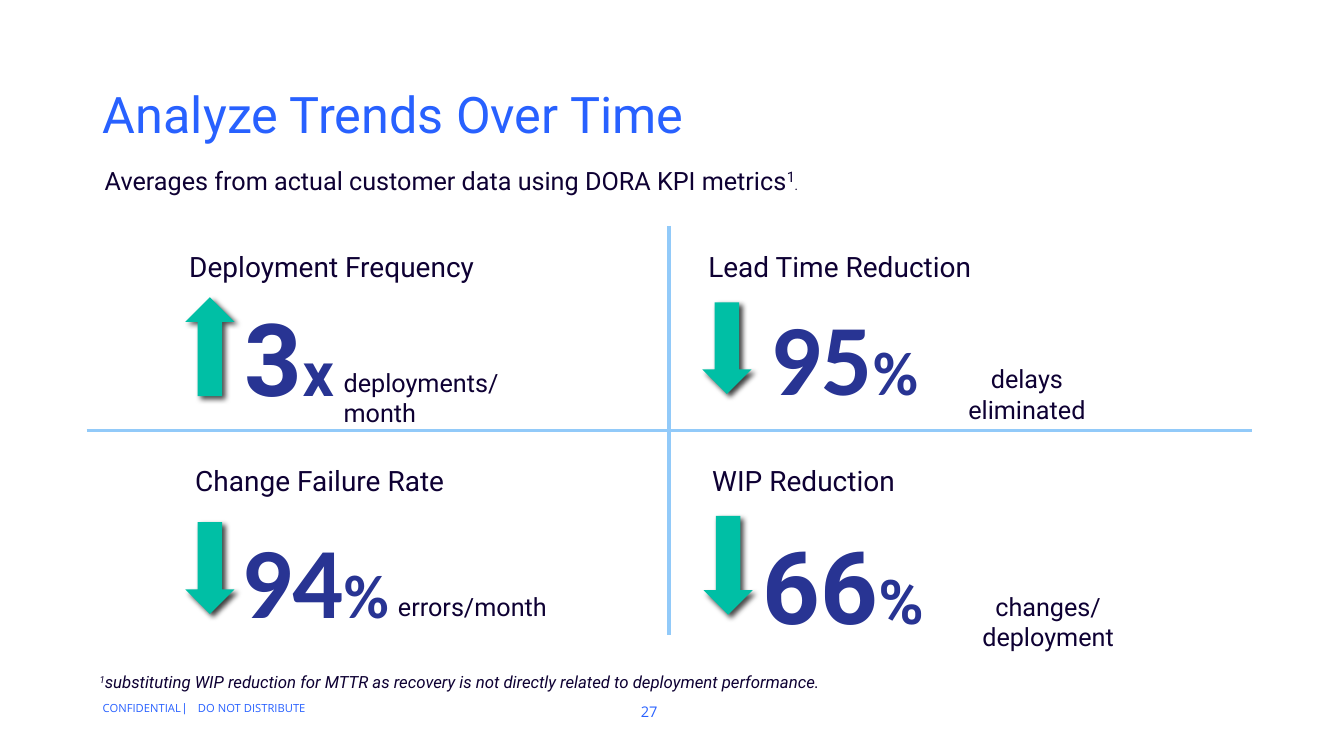
from lxml import etree
from pptx import Presentation
from pptx import util as u
from pptx.dml.color import RGBColor
from pptx.enum import shapes, text
from pptx.oxml import parse_xml
from pptx.oxml.ns import nsdecls, qn

BLUE = "2861FF"
INK = "0E0033"
NAVY = "283493"
GREEN = "00BFA5"
RULE = "92CAF9"
NO_STYLE = "{2D5ABB26-0587-4C30-8999-92F81FD0307C}"

QUADRANTS = [
    {
        "heading": ("Deployment Frequency", (4.52, 6.17, 7.77, 1.12)),
        "arrow": ((4.67, 7.49, 1.24, 2.49), 180, 71),
        "figure": ("3", "x", "Roboto", (5.92, 7.32, 4.06, 3.38), True),
        "caption": ("deployments/month", (8.41, 9.12, 6.22, 1.02), False),
    },
    {
        "heading": ("Lead Time Reduction", (17.6, 6.15, 7.21, 1.12)),
        "arrow": ((17.7, 7.62, 1.24, 2.31), 0, 75),
        "figure": ("95", "%", "Calibri", (19.18, 7.29, 4.27, 3.33), False),
        "caption": ("delays\veliminated", (23.19, 9.04, 5.38, 1.02), True),
    },
    {
        "heading": ("Change Failure Rate", (4.67, 11.56, 6.86, 1.12)),
        "arrow": ((4.67, 13.16, 1.24, 2.31), 0, 75),
        "figure": ("94", "%", "Calibri", (5.84, 12.93, 4.27, 3.33), False),
        "caption": ("errors/month", (9.78, 14.78, 4.27, 1.02), False),
    },
    {
        "heading": ("WIP Reduction", (17.7, 11.56, 5.16, 1.12)),
        "arrow": ((17.73, 13, 1.24, 2.49), 0, 71),
        "figure": ("66", "%", "Roboto", (18.97, 13.06, 4.6, 3.33), False),
        "caption": ("changes/\vdeployment", (23.19, 14.78, 6.45, 1.02), True),
    },
]


def color(value):
    return RGBColor.from_string(value)


def lengths(box):
    return [u.Cm(value) for value in box]


def add_run(paragraph, words, size, fill, font="Roboto", bold=False,
            italic=False, raised=False):
    for index, line in enumerate(words.split("\v")):
        if index:
            paragraph.add_line_break()
        run = paragraph.add_run()
        run.text = line
        run.font.name = font
        run.font.size = u.Pt(size)
        run.font.bold = bold
        run.font.italic = italic
        run.font.color.rgb = color(fill)
        if raised:
            run.font._element.set("baseline", "30000")


def add_text(slide, box, wrap=True, grow=True, centered=False):
    frame = slide.shapes.add_textbox(*lengths(box)).text_frame
    frame.word_wrap = wrap
    if grow:
        frame.auto_size = text.MSO_AUTO_SIZE.SHAPE_TO_FIT_TEXT
    else:
        frame.vertical_anchor = text.MSO_ANCHOR.MIDDLE
    paragraph = frame.paragraphs[0]
    paragraph.alignment = text.PP_ALIGN.CENTER if centered else text.PP_ALIGN.LEFT
    return paragraph


def add_title(slide, words):
    title = slide.shapes.title
    title.left, title.top, title.width, title.height = lengths((2.34, 1.02, 30.53, 3.68))
    title.text_frame.vertical_anchor = text.MSO_ANCHOR.MIDDLE
    paragraph = title.text_frame.paragraphs[0]
    paragraph.alignment = text.PP_ALIGN.LEFT
    add_run(paragraph, words, 36, BLUE)


def set_borders(cell, ruled_sides):
    properties = cell._tc.get_or_add_tcPr()
    borders = []
    for side in ("L", "R", "T", "B"):
        if side in ruled_sides:
            content = f'<a:solidFill><a:srgbClr val="{RULE}"/></a:solidFill>'
        else:
            content = "<a:noFill/>"
        borders.append(parse_xml(
            f'<a:ln{side} {nsdecls("a")} w="{u.Pt(3)}">{content}</a:ln{side}>'))
    for position, border in enumerate(borders):
        properties.insert(position, border)


def add_cross(slide):
    box = lengths((2.18, 5.69, 29.36, 10.31))
    table = slide.shapes.add_table(2, 2, *box).table
    table.first_row = False
    table.horz_banding = False
    table._tbl.tblPr.find(qn("a:tableStyleId")).text = NO_STYLE
    for row in range(2):
        for column in range(2):
            cell = table.cell(row, column)
            cell.fill.background()
            set_borders(cell, ("RL"[column], "BT"[row]))


def add_arrow(slide, box, rotation, opacity):
    arrow = slide.shapes.add_shape(shapes.MSO_SHAPE.DOWN_ARROW, *lengths(box))
    arrow.rotation = rotation
    arrow.fill.solid()
    arrow.fill.fore_color.rgb = color(GREEN)
    arrow.line.fill.background()
    arrow.shadow.inherit = False
    effects = arrow._element.spPr.find(qn("a:effectLst"))
    shadow = etree.SubElement(
        effects, qn("a:outerShdw"), blurRad=str(u.Pt(4)), dist=str(u.Pt(3)),
        dir=str(45 * 60000), algn="tl", rotWithShape="0")
    tint = etree.SubElement(shadow, qn("a:srgbClr"), val="000000")
    etree.SubElement(tint, qn("a:alpha"), val=str(opacity * 1000))


def add_quadrant(slide, quadrant):
    words, box = quadrant["heading"]
    add_run(add_text(slide, box, wrap=False), words, 20, INK)
    add_arrow(slide, *quadrant["arrow"])
    number, unit, font, box, wrap = quadrant["figure"]
    paragraph = add_text(slide, box, wrap=wrap)
    add_run(paragraph, number, 72, NAVY, font, bold=True)
    add_run(paragraph, unit, 44, NAVY, font, bold=True)
    words, box, centered = quadrant["caption"]
    add_run(add_text(slide, box, wrap=False, centered=centered), words, 18, INK)


def add_subtitle(slide):
    paragraph = add_text(slide, (2.39, 4.04, 20.4, 1.02))
    add_run(paragraph, "Averages from actual customer data using DORA KPI metrics", 18, INK)
    add_run(paragraph, "1", 18, INK, raised=True)
    add_run(paragraph, ".", 10, INK, italic=True)


def add_footer(slide):
    paragraph = add_text(slide, (2.26, 16.81, 19.63, 0.76))
    add_run(paragraph, "1", 12, INK, italic=True, raised=True)
    add_run(paragraph, "substituting WIP reduction for MTTR as recovery is not "
            "directly related to deployment performance.", 12, INK, italic=True)
    notice = add_text(slide, (2.34, 17.4, 6.2, 0.86), grow=False)
    add_run(notice, "CONFIDENTIAL ⎸ DO NOT DISTRIBUTE", 8, BLUE, "Open Sans")
    number = add_text(slide, (15.9, 17.5, 2.06, 0.86), grow=False)
    add_run(number, "27", 10.5, BLUE, "Open Sans")


def main():
    presentation = Presentation()
    presentation.slide_width = u.Cm(33.87)
    presentation.slide_height = u.Cm(19.05)
    slide = presentation.slides.add_slide(presentation.slide_layouts[5])
    add_cross(slide)
    add_title(slide, "Analyze Trends Over Time")
    add_subtitle(slide)
    for quadrant in QUADRANTS:
        add_quadrant(slide, quadrant)
    add_footer(slide)
    presentation.save("out.pptx")


if __name__ == "__main__":
    main()
